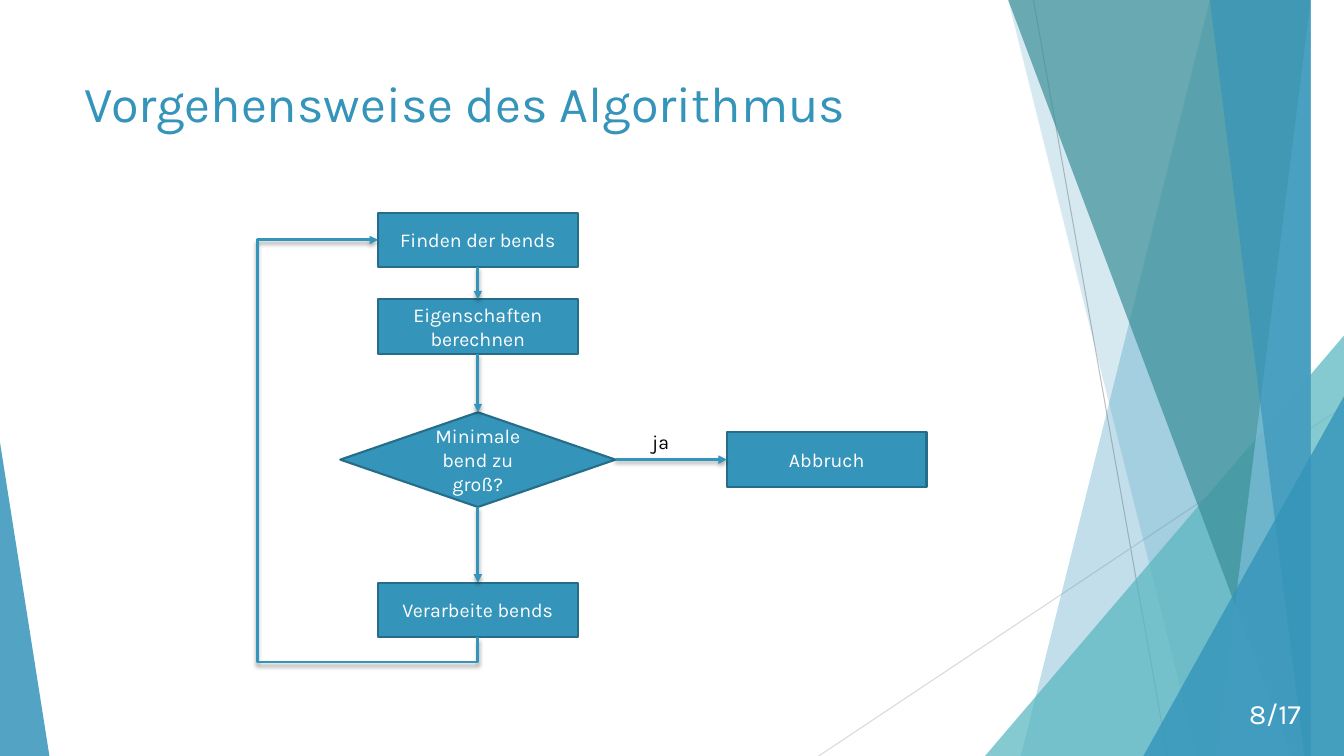
from lxml import etree
from pptx import Presentation
from pptx.dml.color import RGBColor
from pptx.enum.shapes import MSO_CONNECTOR, MSO_SHAPE
from pptx.enum.text import MSO_ANCHOR, MSO_AUTO_SIZE, PP_ALIGN
from pptx.oxml.ns import qn
from pptx.util import Inches, Pt

RECTANGLE, DIAMOND = MSO_SHAPE.RECTANGLE, MSO_SHAPE.DIAMOND
TRIANGLE = MSO_SHAPE.ISOSCELES_TRIANGLE
STRAIGHT, ELBOW = MSO_CONNECTOR.STRAIGHT, MSO_CONNECTOR.ELBOW
LEFT, CENTER, RIGHT = PP_ALIGN.LEFT, PP_ALIGN.CENTER, PP_ALIGN.RIGHT
TOP, MIDDLE = MSO_ANCHOR.TOP, MSO_ANCHOR.MIDDLE
NO_FIT = MSO_AUTO_SIZE.NONE

SLIDE_W, SLIDE_H = 13.33, 7.5
FONT = "Karla"
BLUE, DARK_BLUE, WHITE, BLACK = "3494BA", "266D8A", "FFFFFF", "000000"
STEP_SIZE, DECISION_SIZE = (1.98, 0.54), (2.73, 0.94)
FLOW_X, DECISION_Y = 4.74, 4.56
SITE_TOP, SITE_LEFT, SITE_BOTTOM, SITE_RIGHT = range(4)


def rgb(color):
    """Turn a hex string into a colour."""
    return RGBColor.from_string(color)


def add_node(parent, tag, **attributes):
    """Append a DrawingML element and return it."""
    return etree.SubElement(parent, qn(tag), attributes)


def set_alpha(color_node, percent):
    """Set the opacity of a colour element."""
    add_node(color_node, "a:alpha", val=str(percent * 1000))


def set_text(shape, text, size, color, align=LEFT, anchor=TOP):
    """Write and format the single paragraph of a shape."""
    frame = shape.text_frame
    frame.text = text
    paragraph = frame.paragraphs[0]
    paragraph.alignment = align
    frame_format = {"word_wrap": True, "auto_size": NO_FIT, "vertical_anchor": anchor}
    for name, value in frame_format.items():
        setattr(frame, name, value)
    font = paragraph.runs[0].font
    for name, value in {"name": FONT, "size": Pt(size)}.items():
        setattr(font, name, value)
    font.color.rgb = rgb(color)


def add_label(slide, text, box, size, color, align=LEFT, anchor=TOP):
    """Add a free-standing text."""
    label = slide.shapes.add_textbox(*map(Inches, box))
    set_text(label, text, size, color, align, anchor)


def fill_facet(facet, color, alpha):
    """Give a background facet a translucent fill and no outline."""
    facet.shadow.inherit = False
    facet.fill.solid()
    facet.fill.fore_color.rgb = rgb(color)
    facet.line.fill.background()
    color_node = facet.fill._xPr.find(qn("a:solidFill"))[0]
    set_alpha(color_node, alpha)


def add_band(slide, top_left, top_right, bottom_left, color, alpha):
    """Add a full-height facet that ends at the right slide edge."""
    builder = slide.shapes.build_freeform(top_left, 0, scale=Inches(1))
    corners = [(top_right, 0), (SLIDE_W, SLIDE_H), (bottom_left, SLIDE_H)]
    builder.add_line_segments(corners, close=True)
    fill_facet(builder.convert_to_shape(), color, alpha)


def add_corner(slide, left, width, height, peak, color, alpha):
    """Add a triangle that stands on the bottom slide edge."""
    box = (left, SLIDE_H - height, width, height)
    corner = slide.shapes.add_shape(TRIANGLE, *map(Inches, box))
    corner.adjustments[0] = peak
    fill_facet(corner, color, alpha)


def add_line(slide, kind, start, end, color, width):
    """Add a connector with an empty effect list and return both."""
    line = slide.shapes.add_connector(kind, *map(Inches, start + end))
    line.line.color.rgb = rgb(color)
    line.line.width = Pt(width)
    return line, add_node(line._element.spPr, "a:effectLst")


def add_step(slide, text, center_y, center_x=FLOW_X, kind=RECTANGLE, size=STEP_SIZE):
    """Add a flowchart node around its centre."""
    width, height = size
    box = (center_x - width / 2, center_y - height / 2, width, height)
    step = slide.shapes.add_shape(kind, *map(Inches, box))
    step.shadow.inherit = False
    step.fill.solid()
    step.fill.fore_color.rgb = rgb(BLUE)
    step.line.color.rgb = rgb(DARK_BLUE)
    step.line.width = Pt(1.5)
    set_text(step, text, 14, WHITE, CENTER, MIDDLE)
    return step


def add_arrow(slide, source, target, exit_site=SITE_BOTTOM, entry_site=SITE_TOP, kind=STRAIGHT):
    """Join two nodes with a softly shadowed arrow."""
    arrow, effects = add_line(slide, kind, (0, 0), (1, 1), BLUE, 2)
    arrow.begin_connect(source, exit_site)
    arrow.end_connect(target, entry_site)
    add_node(arrow.line._get_or_add_ln(), "a:tailEnd", type="triangle")
    shadow = add_node(effects, "a:outerShdw", blurRad=str(Pt(3)), dist=str(Pt(2)),
                      dir="5400000", algn="ctr", rotWithShape="0")
    set_alpha(add_node(shadow, "a:srgbClr", val=BLACK), 35)
    return arrow


def add_loop(slide, source, target):
    """Lead an arrow from below the source round to the target's left side."""
    loop = add_arrow(slide, source, target, SITE_BOTTOM, SITE_LEFT, ELBOW)
    # The box is turned by 90 degrees, so its width and height change places.
    width, height = loop.height, loop.width
    center_x, center_y = loop.left + height // 2, loop.top + width // 2
    placement = {"left": center_x - width // 2, "top": center_y - height // 2,
                 "width": width, "height": height}
    for name, value in placement.items():
        setattr(loop, name, value)
    properties = loop._element.spPr
    transform = properties.find(qn("a:xfrm"))
    transform.attrib.pop("flipV", None)
    for name, value in {"rot": "5400000", "flipH": "1"}.items():
        transform.set(name, value)
    geometry = properties.find(qn("a:prstGeom"))
    geometry.set("prst", "bentConnector4")
    guides = geometry.find(qn("a:avLst"))
    if guides is None:
        guides = add_node(geometry, "a:avLst")
    for name, value in {"adj1": -6300, "adj2": 221000}.items():
        add_node(guides, "a:gd", name=name, fmla=f"val {value}")


def add_background(slide):
    """Draw the facets along the slide edges."""
    add_line(slide, STRAIGHT, (10.25, 0), (11.58, SLIDE_H), "BFBFBF", 0.75)
    add_line(slide, STRAIGHT, (SLIDE_W, 4.03), (8.12, SLIDE_H), "D9D9D9", 0.75)
    add_band(slide, 12.28, SLIDE_W, 10.04, BLUE, 30)
    add_band(slide, 10.5, SLIDE_W, 11.83, BLUE, 20)
    add_corner(slide, 9.77, 3.56, 4.17, 1, "58B6C0", 72)
    add_band(slide, 10.21, SLIDE_W, 12.91, "3A8F98", 70)
    add_band(slide, 13.03, SLIDE_W, 11.92, "7FC1DB", 70)
    add_band(slide, 11.96, SLIDE_W, 13.18, BLUE, 65)
    add_corner(slide, 11.34, 1.99, 3.57, 1, BLUE, 80)
    add_corner(slide, 0, 0.49, 3.11, 0, BLUE, 85)


def add_flowchart(slide):
    """Draw the steps of the algorithm and their arrows."""
    find = add_step(slide, "Finden der bends", 2.38)
    decide = add_step(slide, "Minimale bend zu groß?", DECISION_Y,
                      kind=DIAMOND, size=DECISION_SIZE)
    compute = add_step(slide, "Eigenschaften berechnen", 3.24)
    stop = add_step(slide, "Abbruch", DECISION_Y, center_x=8.2)
    process = add_step(slide, "Verarbeite bends", 6.05)
    add_arrow(slide, find, compute)
    add_arrow(slide, compute, decide)
    add_arrow(slide, decide, stop, SITE_RIGHT, SITE_LEFT)
    add_arrow(slide, decide, process)
    add_loop(slide, process, find)
    add_label(slide, "ja", (6.37, 4.22, 0.48, 0.34), 14, BLACK)


def main():
    """Build and save the slide."""
    deck = Presentation()
    deck.slide_width, deck.slide_height = Inches(SLIDE_W), Inches(SLIDE_H)
    slide = deck.slides.add_slide(deck.slide_layouts[5])
    add_background(slide)
    title = slide.shapes.title
    title_box = {"left": 0.74, "top": 0.67, "width": 9.4, "height": 1.44}
    for name, value in title_box.items():
        setattr(title, name, Inches(value))
    set_text(title, "Vorgehensweise des Algorithmus", 36, BLUE)
    add_label(slide, "8/17", (11.75, 6.88, 1.25, 0.4), 20, WHITE, RIGHT, MIDDLE)
    add_flowchart(slide)
    deck.save("out.pptx")


main()
